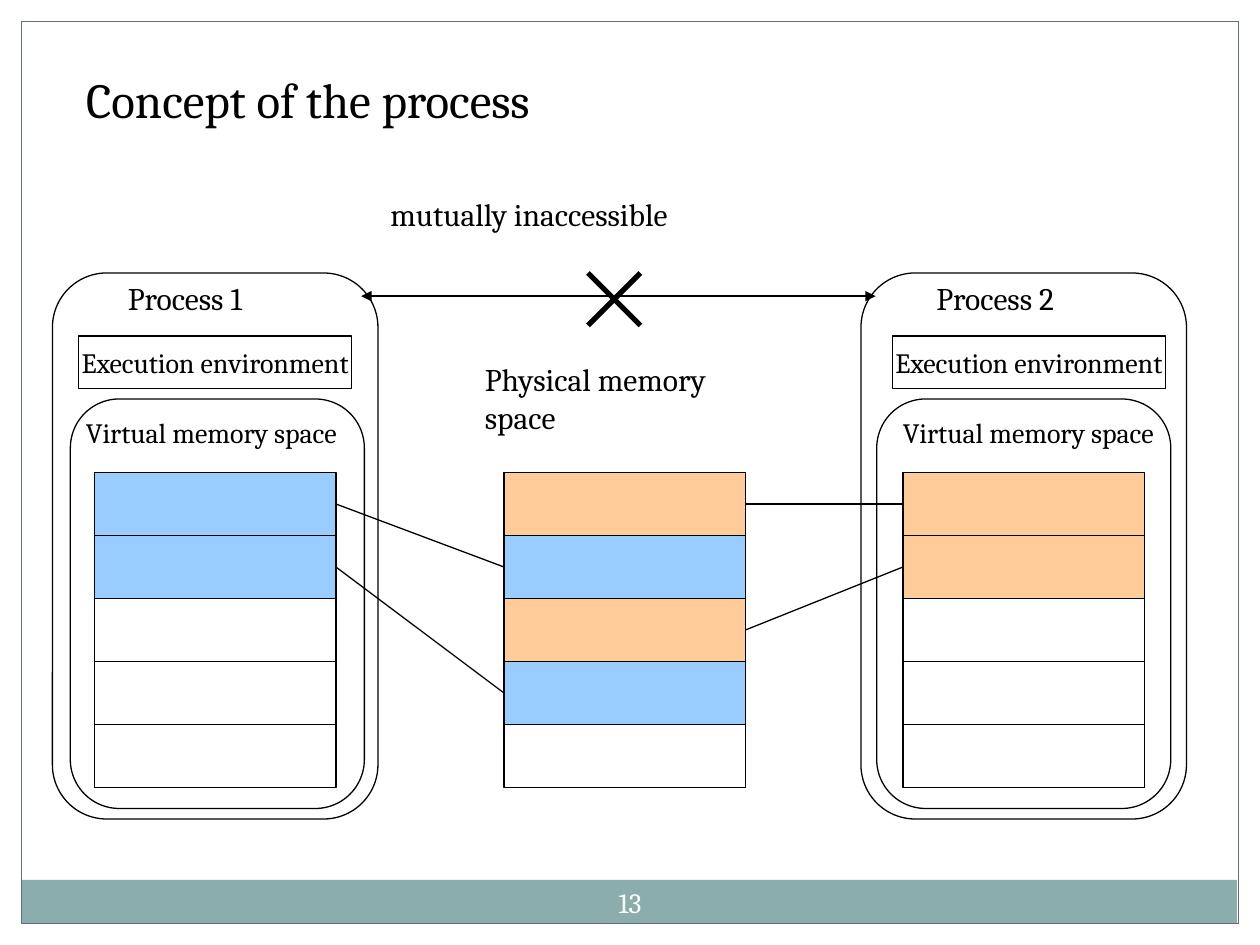
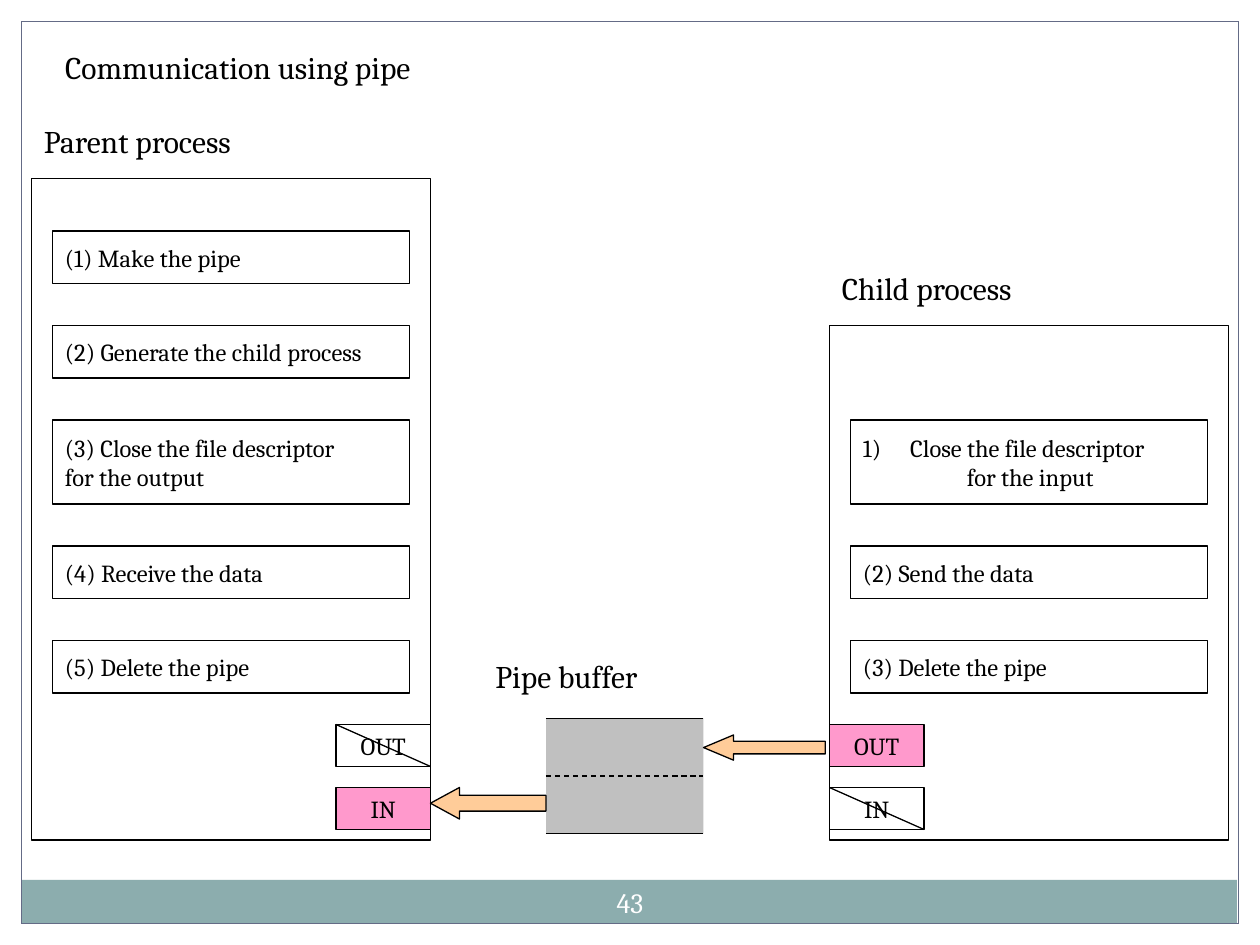
from dataclasses import dataclass

from lxml.etree import SubElement
from pptx import Presentation
from pptx.dml.color import RGBColor
from pptx.enum.dml import MSO_LINE
from pptx.enum.shapes import MSO_CONNECTOR, MSO_SHAPE
from pptx.enum.text import MSO_ANCHOR, MSO_AUTO_SIZE, PP_ALIGN
from pptx.oxml.ns import qn
from pptx.util import Emu, Pt

PX = 7620
RIGHT_SIDE, LEFT_SIDE = 3, 1


@dataclass(frozen=True)
class Theme:
    font: str = "Cambria"
    ink: str = "000000"
    paper: str = "FFFFFF"
    band: str = "8CADAE"
    border: str = "646B86"
    orange: str = "FFCC99"
    blue: str = "99CCFF"
    pink: str = "FF99CC"
    gray: str = "C0C0C0"
    title: int = 28
    label: int = 18
    caption: int = 16
    step: int = 14
    thin: float = 0.75
    thick: float = 3


def px(*lengths):
    return [Emu(length * PX) for length in lengths]


def set_values(target, values):
    for name, value in values.items():
        setattr(target, name, value)


class SlideBuilder:
    def __init__(self, deck, theme):
        self.deck = deck
        self.theme = theme
        self.page = None

    def new_page(self, number):
        theme = self.theme
        self.page = self.deck.slides.add_slide(self.deck.slide_layouts[5])
        self.rect((19, 838, 1159, 41), theme.band, line=None)
        self.rect((20, 20, 1160, 860), None, line=theme.border)
        for edge in ((0, 880, 1200, 20), (0, 0, 1200, 20), (0, 0, 20, 900), (1180, 0, 20, 900)):
            self.rect(edge, theme.paper, line=None)
        self.label((560, 830, 80, 58), number, theme.caption, theme.paper,
                   PP_ALIGN.CENTER, MSO_ANCHOR.MIDDLE)

    def fill_text(self, frame, text, size, color=None, align=PP_ALIGN.LEFT,
                  anchor=MSO_ANCHOR.TOP, wrap=True):
        frame.text = text
        set_values(frame, {
            "word_wrap": wrap,
            "auto_size": MSO_AUTO_SIZE.NONE,
            "vertical_anchor": anchor,
        })
        for para in frame.paragraphs:
            para.alignment = align
            for span in para.runs:
                set_values(span.font, {"name": self.theme.font, "size": Pt(size)})
                span.font.color.rgb = RGBColor.from_string(color or self.theme.ink)

    def title(self, place, text, size):
        box = self.page.shapes.title
        set_values(box, dict(zip(("left", "top", "width", "height"), px(*place))))
        self.fill_text(box.text_frame, text, size)

    def label(self, place, text, size=None, color=None, align=PP_ALIGN.LEFT,
              anchor=MSO_ANCHOR.TOP):
        box = self.page.shapes.add_textbox(*px(*place))
        self.fill_text(box.text_frame, text, size or self.theme.label, color, align, anchor)

    def shape(self, kind, place, fill, line=Theme.ink):
        shape = self.page.shapes.add_shape(kind, *px(*place))
        shape.shadow.inherit = False
        if fill:
            shape.fill.solid()
            shape.fill.fore_color.rgb = RGBColor.from_string(fill)
        else:
            shape.fill.background()
        if line:
            shape.line.color.rgb = RGBColor.from_string(line)
            shape.line.width = Pt(self.theme.thin)
        else:
            shape.line.fill.background()
        return shape

    def rect(self, place, fill, line=Theme.ink):
        return self.shape(MSO_SHAPE.RECTANGLE, place, fill, line)

    def rounded(self, place):
        return self.shape(MSO_SHAPE.ROUNDED_RECTANGLE, place, self.theme.paper)

    def text_rect(self, place, text, size, fill=None, align=PP_ALIGN.CENTER):
        box = self.rect(place, fill or self.theme.paper)
        self.fill_text(box.text_frame, text, size, None, align, MSO_ANCHOR.MIDDLE,
                       wrap=align == PP_ALIGN.LEFT)
        return box

    def block_arrow(self, place, head):
        arrow = self.shape(MSO_SHAPE.LEFT_ARROW, place, self.theme.orange)
        arrow.adjustments[0] = 0.5
        arrow.adjustments[1] = head

    def line(self, ends, width=None, dash=None, arrows=False):
        line = self.page.shapes.add_connector(MSO_CONNECTOR.STRAIGHT, *px(*ends))
        line.line.color.rgb = RGBColor.from_string(self.theme.ink)
        set_values(line.line, {"width": Pt(width or self.theme.thin), "dash_style": dash})
        if arrows:
            outline = line._element.spPr.find(qn("a:ln"))
            for end in ("a:headEnd", "a:tailEnd"):
                SubElement(outline, qn(end), type="triangle")
        SubElement(line._element.spPr, qn("a:effectLst"))
        return line

    def join(self, start, finish):
        line = self.line((0, 0, 0, 0))
        line.begin_connect(start, RIGHT_SIDE)
        line.end_connect(finish, LEFT_SIDE)

    def memory(self, left, fills):
        return [self.rect((left, 450 + 60 * row, 230, 60), fill)
                for row, fill in enumerate(fills)]

    def indent(self, para, margin, first, numbered=False):
        properties = para._p.get_or_add_pPr()
        properties.set("marL", str(margin * PX))
        properties.set("indent", str(first * PX))
        if numbered:
            color = SubElement(properties, qn("a:buClr"))
            SubElement(color, qn("a:srgbClr"), val=self.theme.ink)
            SubElement(properties, qn("a:buAutoNum"), type="arabicParenR")

    def steps(self, left, top, texts):
        boxes = []
        for text in texts:
            height = 80 if "\n" in text else 50
            boxes.append(self.text_rect((left, top, 340, height), text,
                                        self.theme.step, align=PP_ALIGN.LEFT))
            top += height + 40
        return boxes

    def ports(self, left, opened):
        for top, name in ((690, "OUT"), (750, "IN")):
            is_open = name == opened
            fill = self.theme.pink if is_open else self.theme.paper
            self.text_rect((left, top, 90, 40), name, self.theme.step, fill)
            if not is_open:
                self.line((left, top, left + 90, top + 40))


def build_process_concept(builder):
    theme = builder.theme
    builder.new_page("13")
    builder.title((70, 60, 590, 68), "Concept of the process", theme.title)

    processes = (
        ("Process 1", 50, 67, 110, 75, (70, 290)),
        ("Process 2", 820, 835, 880, 850, (848, 272)),
    )
    for name, outer, inner, name_left, environment, (space_left, space_width) in processes:
        builder.rounded((outer, 260, 310, 520))
        builder.rounded((inner, 380, 280, 390))
        builder.label((name_left, 260, 200, 48), name)
        builder.text_rect((environment, 320, 260, 50), "Execution environment", theme.caption)
        builder.label((space_left, 390, space_width, 77), "Virtual memory space", theme.caption)

    blue, orange, free = theme.blue, theme.orange, theme.paper
    virtual_one = builder.memory(90, (blue, blue, free, free, free))
    physical = builder.memory(480, (orange, blue, orange, blue, free))
    virtual_two = builder.memory(860, (orange, orange, free, free, free))
    builder.label((450, 337, 290, 84), "Physical memory space")
    for start, finish in (
        (virtual_one[0], physical[1]),
        (virtual_one[1], physical[3]),
        (physical[0], virtual_two[0]),
        (physical[2], virtual_two[1]),
    ):
        builder.join(start, finish)

    builder.label((360, 180, 480, 48), "mutually inaccessible")
    builder.line((344, 282, 834, 282), arrows=True)
    for cross in ((560, 260, 610, 310), (610, 260, 560, 310)):
        builder.line(cross, theme.thick)


def build_pipe_communication(builder):
    theme = builder.theme
    builder.new_page("43")
    builder.title((50, 40, 460, 48), "Communication using pipe", theme.label)

    builder.rect((30, 170, 380, 630), theme.paper)
    builder.label((30, 110, 373, 48), "Parent process")
    builder.steps(50, 220, (
        "(1) Make the pipe",
        "(2) Generate the child process",
        "(3) Close the file descriptor\nfor the output",
        "(4) Receive the data",
        "(5) Delete the pipe",
    ))
    builder.ports(320, opened="IN")

    builder.rect((790, 310, 380, 490), theme.paper)
    builder.label((790, 250, 335, 48), "Child process")
    close_input = builder.steps(810, 400, (
        "Close the file descriptor\nfor the input",
        "(2) Send the data",
        "(3) Delete the pipe",
    ))[0]
    first, second = close_input.text_frame.paragraphs
    builder.indent(first, 45, -45, numbered=True)
    builder.indent(second, 99, 0)
    builder.ports(790, opened="OUT")

    builder.rect((520, 684, 150, 110), theme.gray, line=None)
    builder.label((460, 620, 270, 48), "Pipe buffer")
    for height, dash in ((684, None), (739, MSO_LINE.DASH), (794, None)):
        builder.line((520, height, 670, height), dash=dash)
    builder.block_arrow((410, 750, 110, 30), 0.92)
    builder.block_arrow((670, 700, 116, 24), 1.19)


def main():
    deck = Presentation()
    set_values(deck, dict(zip(("slide_width", "slide_height"), px(1200, 900))))
    builder = SlideBuilder(deck, Theme())
    build_process_concept(builder)
    build_pipe_communication(builder)
    deck.save("out.pptx")


if __name__ == "__main__":
    main()
